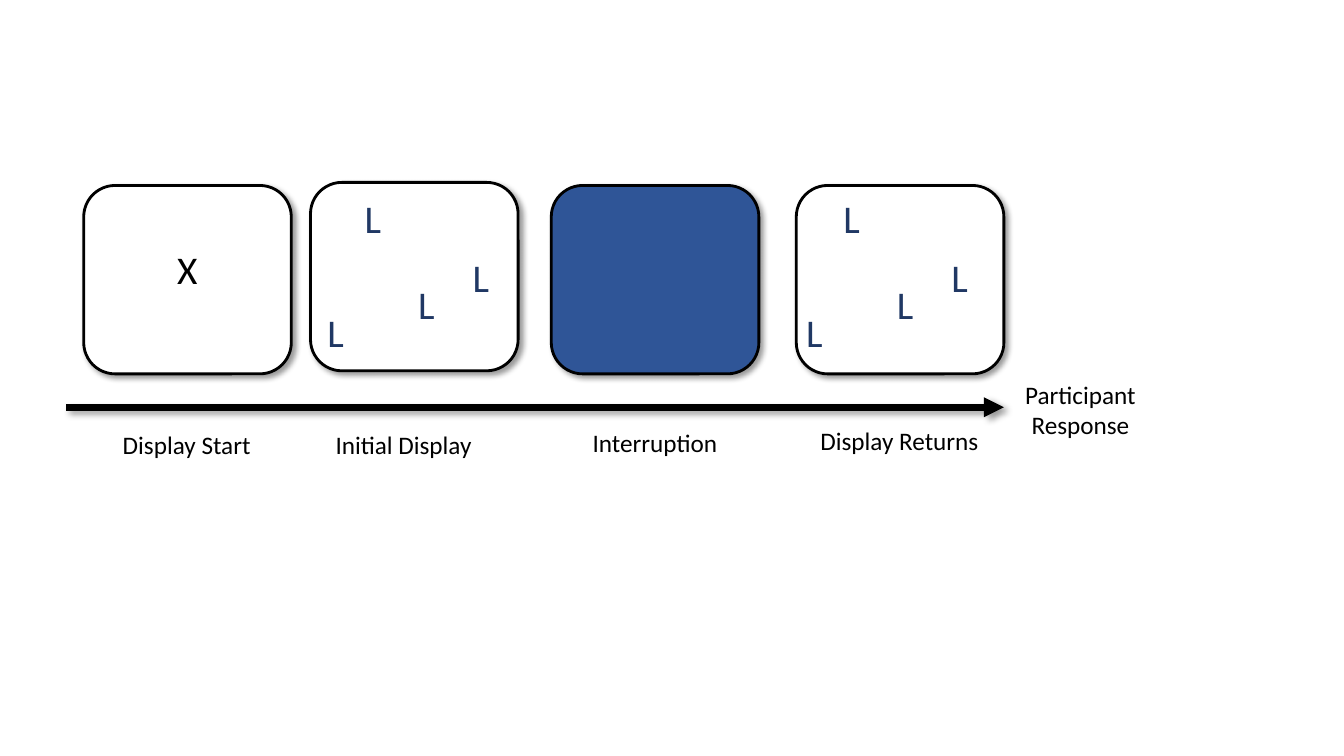
from lxml.etree import SubElement as Sub
from pptx import Presentation
from pptx.dml.color import RGBColor as RGB
from pptx.enum.shapes import MSO_CONNECTOR as Conn, MSO_SHAPE as Geo
from pptx.enum.text import MSO_AUTO_SIZE as Fit, PP_ALIGN as Align
from pptx.oxml.ns import qn
from pptx.util import Pt

COLORS = {"ink": "000000", "paper": "FFFFFF", "mask": "2F5597", "letter": "203864"}


class Board:
    font = "Calibri"

    def __init__(self, slide):
        self.slide = slide

    def hue(self, name):
        return RGB.from_string(COLORS[name])

    def shade(self, props):
        """Soft shadow falling to the lower right."""
        for old in props.findall(qn("a:effectLst")):
            props.remove(old)
        glow = Sub(Sub(props, qn("a:effectLst")), qn("a:outerShdw"),
                   blurRad=str(Pt(4)), dist=str(Pt(3)), dir="2700000",
                   algn="tl", rotWithShape="0")
        tint = Sub(glow, qn("a:srgbClr"), val=COLORS["ink"])
        Sub(tint, qn("a:alpha"), val="40000")

    def frame(self, x, y, fill):
        box = self.slide.shapes.add_shape(
            Geo.ROUNDED_RECTANGLE, Pt(x), Pt(y), Pt(148.3), Pt(134.6))
        box.fill.solid()
        box.fill.fore_color.rgb = self.hue(fill)
        box.line.color.rgb = self.hue("ink")
        box.line.width = Pt(2)
        box.shadow.inherit = False
        self.shade(box._element.spPr)

    def arrow(self, x, y, end):
        line = self.slide.shapes.add_connector(
            Conn.STRAIGHT, Pt(x), Pt(y), Pt(end), Pt(y))
        line.line.color.rgb = self.hue("ink")
        line.line.width = Pt(4.75)
        props = line._element.spPr
        Sub(props.find(qn("a:ln")), qn("a:tailEnd"), type="triangle")
        self.shade(props)

    def text(self, words, x, y, w, h, size=18, color="ink", wrap=False):
        box = self.slide.shapes.add_textbox(Pt(x), Pt(y), Pt(w), Pt(h))
        body = box.text_frame
        body.text = words
        body.word_wrap = wrap
        body.auto_size = Fit.SHAPE_TO_FIT_TEXT
        para = body.paragraphs[0]
        if wrap:
            para.alignment = Align.CENTER
        font = para.runs[0].font
        font.name, font.size = self.font, Pt(size)
        font.color.rgb = self.hue(color)


deck = Presentation()
deck.slide_width, deck.slide_height = Pt(960), Pt(540)
board = Board(deck.slides.add_slide(deck.slide_layouts[6]))

# Stages: frame left, top and fill; label, its left, top and width
stages = [
    (59.8, 132.5, "paper", "Display Start", 80.6, 303.1, 106.6),
    (221.8, 130.3, "paper", "Initial Display", 232.6, 303.1, 113),
    (393.8, 132.5, "mask", "Interruption", 416.2, 301.7, 104.4),
    (568.8, 132.5, "paper", "Display Returns", 578.9, 300.2, 128.9),
]
for x, y, fill, label, left, top, wide in stages:
    board.frame(x, y, fill)
    board.text(label, left, top, wide, 29)

# Fixation mark
board.text("X", 119.5, 171.4, 29.5, 41, 28)

# Same letter layout in the initial and the returning display
spots = [(253.4, 135.4), (330.5, 177.1), (226.8, 216.7), (291.6, 196.6)]
for shift in (0, 342):
    for x, y in spots:
        board.text("L", x + shift, y, 26.6, 41, 28, "letter")

# Time line and response
board.arrow(47.5, 290.9, 717.1)
board.text("Participant Response", 725, 267.1, 93.6, 51, wrap=True)

deck.save("out.pptx")
